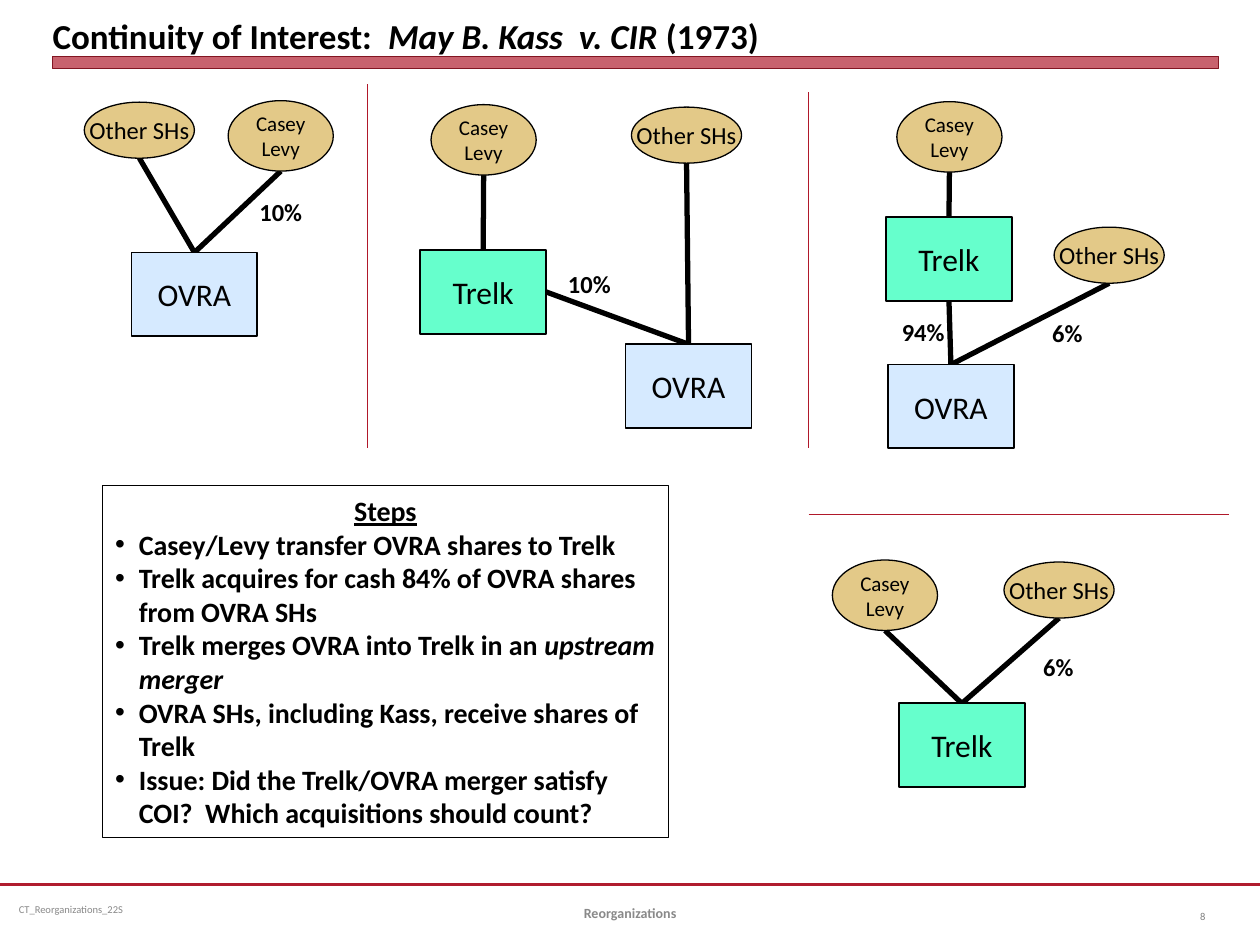
"""Build a one-page case chart of share links before and after a merger."""
import pptx
import pptx.dml.color
import pptx.enum.shapes
import pptx.enum.text
import pptx.oxml
import pptx.oxml.ns
import pptx.util

Cm, Pt = pptx.util.Cm, pptx.util.Pt
FORM = pptx.enum.shapes.MSO_SHAPE
SIDE = pptx.enum.text.PP_ALIGN
HOLD = pptx.enum.text.MSO_ANCHOR
FIT = pptx.enum.text.MSO_AUTO_SIZE

THEME = {
    "font": "Calibri",
    "ink": "000000", "gray": "898989", "page": "808080",
    "rule": "B01C2E", "edge": "821522", "split": "B0182A",
    "gold": "E3C988", "mint": "66FFCC", "sky": "D6EAFF",
    "title": 20, "box": 18, "step": 16, "note": 14, "pair": 12, "foot": 8, "tiny": 6,
}

KINDS = {
    "casey": ("Casey\nLevy", FORM.OVAL, 2.12, 1.42, "gold", 0.75, "pair"),
    "other": ("Other SHs", FORM.OVAL, 2.22, 1.13, "gold", 0.75, "note"),
    "buyer": ("Trelk", FORM.RECTANGLE, 2.54, 1.69, "mint", 1, "box"),
    "target": ("OVRA", FORM.RECTANGLE, 2.54, 1.69, "sky", 1, "box"),
}

PANELS = [
    {"nodes": {"other": (1.7, 2.06), "casey": (4.6, 2.03), "target": (2.65, 5.09)},
     "links": [("other", "target"), ("casey", "target")],
     "notes": [("10%", 4.98, 3.84)]},
    {"nodes": {"casey": (8.69, 2.11), "other": (12.73, 2.16),
               "buyer": (8.47, 5.04), "target": (12.61, 6.94)},
     "links": [("casey", "buyer"), ("buyer", "target", "right"), ("other", "target")],
     "notes": [("10%", 11.2, 5.3)]},
    {"nodes": {"casey": (18.08, 2.05), "buyer": (17.86, 4.38),
               "other": (21.25, 4.58), "target": (17.9, 7.35)},
     "links": [("casey", "buyer"), ("buyer", "target"), ("other", "target")],
     "notes": [("94%", 17.93, 6.27), ("6%", 20.96, 6.29)]},
    {"nodes": {"casey": (16.78, 11.29), "other": (20.24, 11.33), "buyer": (18.12, 14.18)},
     "links": [("casey", "buyer"), ("other", "buyer")],
     "notes": [("6%", 20.78, 13.02)]},
]

TITLE = [("Continuity of Interest:  ", "b"), ("May B. Kass  v. CIR ", "bi"), ("(1973)", "b")]
STEPS = [
    [("Casey/Levy transfer OVRA shares to Trelk", "b")],
    [("Trelk acquires for cash 84% of OVRA shares from OVRA SHs", "b")],
    [("Trelk merges OVRA into Trelk in an ", "b"), ("upstream merger", "bi")],
    [("OVRA SHs, including Kass, receive shares of Trelk", "b")],
    [("Issue: Did the Trelk/OVRA merger satisfy COI?  Which acquisitions should count?", "b")],
]
SPLITS = [(7.41, 1.7, 7.41, 9.04), (16.3, 1.86, 16.3, 9.04), (16.3, 10.37, 24.77, 10.37)]
FEET = [
    ("CT_Reorganizations_22S", "", 0.2, 17.83, 6.55, "tiny", "gray", SIDE.LEFT, (0.18, 0.1)),
    ("Reorganizations", "b", 8.68, 17.9, 8.05, "foot", "gray", SIDE.CENTER, (0.25, 0.13)),
    ("8", "", 23.28, 17.97, 1.27, "tiny", "page", SIDE.RIGHT, (0.25, 0.13)),
]


def tint(name):
    """Return a theme color."""
    return pptx.dml.color.RGBColor.from_string(THEME[name])


def write(shape, paras, size="note", color="ink", align=SIDE.LEFT, hold=HOLD.MIDDLE,
          wrap=True, grow=False, pad=(0.25, 0.13), dots=()):
    """Fill a shape with paragraphs of (text, style) runs."""
    frame = shape.text_frame
    frame.word_wrap = wrap
    frame.auto_size = FIT.SHAPE_TO_FIT_TEXT if grow else FIT.NONE
    frame.vertical_anchor = hold
    frame.margin_left = frame.margin_right = Cm(pad[0])
    frame.margin_top = frame.margin_bottom = Cm(pad[1])
    for rank, runs in enumerate(paras):
        para = frame.paragraphs[0] if rank == 0 else frame.add_paragraph()
        para.alignment = SIDE.LEFT if rank in dots else align
        if rank in dots:
            props = para._p.get_or_add_pPr()
            props.set("marL", str(Cm(0.48)))
            props.set("indent", str(-Cm(0.48)))
            for tag, key, value in (("a:buFont", "typeface", "Arial"), ("a:buChar", "char", "•")):
                mark = pptx.oxml.ns.qn(tag)
                props.append(props.makeelement(mark, {key: value}))
        for words, style in runs:
            for turn, part in enumerate(words.split("\n")):
                if turn:
                    para.add_line_break()
                run = para.add_run()
                run.text = part
                font = run.font
                font.name, font.size = THEME["font"], Pt(THEME[size])
                font.color.rgb = tint(color)
                font.bold, font.italic = "b" in style, "i" in style
                font.underline = "u" in style


def form(slide, kind, left, top, wide, high, fill, line, thick):
    """Add a preset shape with its fill and line."""
    shape = slide.shapes.add_shape(kind, Cm(left), Cm(top), Cm(wide), Cm(high))
    shape.shadow.inherit = False
    if fill:
        shape.fill.solid()
        shape.fill.fore_color.rgb = tint(fill)
    else:
        shape.fill.background()
    shape.line.color.rgb = tint(line)
    shape.line.width = Pt(thick)
    return shape


def label(slide, left, top, wide, high, paras, **look):
    """Add a text box."""
    write(slide.shapes.add_textbox(Cm(left), Cm(top), Cm(wide), Cm(high)), paras, **look)


def stroke(slide, ends, color, thick):
    """Add a straight line without a shadow."""
    kind = pptx.enum.shapes.MSO_CONNECTOR.STRAIGHT
    line = slide.shapes.add_connector(kind, *map(Cm, ends))
    line.line.color.rgb = tint(color)
    line.line.width = Pt(thick)
    props = line._element.spPr
    props.append(props.makeelement(pptx.oxml.ns.qn("a:effectLst"), {}))


def port(nodes, name, side):
    """Find the middle of one side of a node."""
    left, top = nodes[name]
    wide, high = KINDS[name][2:4]
    across, down = {"top": (0.5, 0), "right": (1, 0.5), "bottom": (0.5, 1)}[side]
    return left + wide * across, top + high * down


def panel(slide, nodes, links, notes):
    """Draw one stage of the deal."""
    for start, end, *side in links:
        ends = port(nodes, start, *(side or ["bottom"])) + port(nodes, end, "top")
        stroke(slide, ends, "ink", 3)
    for name, (left, top) in nodes.items():
        words, kind, wide, high, fill, thick, size = KINDS[name]
        shape = form(slide, kind, left, top, wide, high, fill, "ink", thick)
        write(shape, [[(words, "")]], size=size, align=SIDE.CENTER, wrap=False)
    for words, left, top in notes:
        wide = 0.6 + 0.26 * len(words)
        label(slide, left, top, wide, 0.86, [[(words, "b")]],
              hold=HOLD.TOP, wrap=False, grow=True)


def main():
    """Build and save the slide."""
    deck = pptx.Presentation()
    deck.slide_width, deck.slide_height = Cm(25.4), Cm(19.05)
    slide = deck.slides.add_slide(deck.slide_layouts[6])
    stroke(slide, (0, 17.83, 25.4, 17.83), "rule", 1.25)
    bar = form(slide, FORM.RECTANGLE, 1.06, 1.14, 23.5, 0.25, "rule", "edge", 0)
    shade = bar._element.spPr.find(".//" + pptx.oxml.ns.qn("a:srgbClr"))
    shade.append(shade.makeelement(pptx.oxml.ns.qn("a:alpha"), {"val": "69000"}))
    label(slide, 1.06, 0.12, 23.5, 1.02, [TITLE], size="title", hold=HOLD.BOTTOM, pad=(0, 0))
    for stage in PANELS:
        panel(slide, **stage)
    for ends in SPLITS:
        stroke(slide, ends, "split", 0.75)
    card = form(slide, FORM.RECTANGLE, 2.07, 9.79, 11.4, 7.09, None, "ink", 0.5)
    write(card, [[("Steps", "bu")]] + STEPS, size="step", align=SIDE.CENTER,
          grow=True, dots=range(1, len(STEPS) + 1))
    for words, style, left, top, wide, size, color, align, pad in FEET:
        label(slide, left, top, wide, 1.02, [[(words, style)]],
              size=size, color=color, align=align, pad=pad)
    deck.save("out.pptx")


if __name__ == "__main__":
    main()
